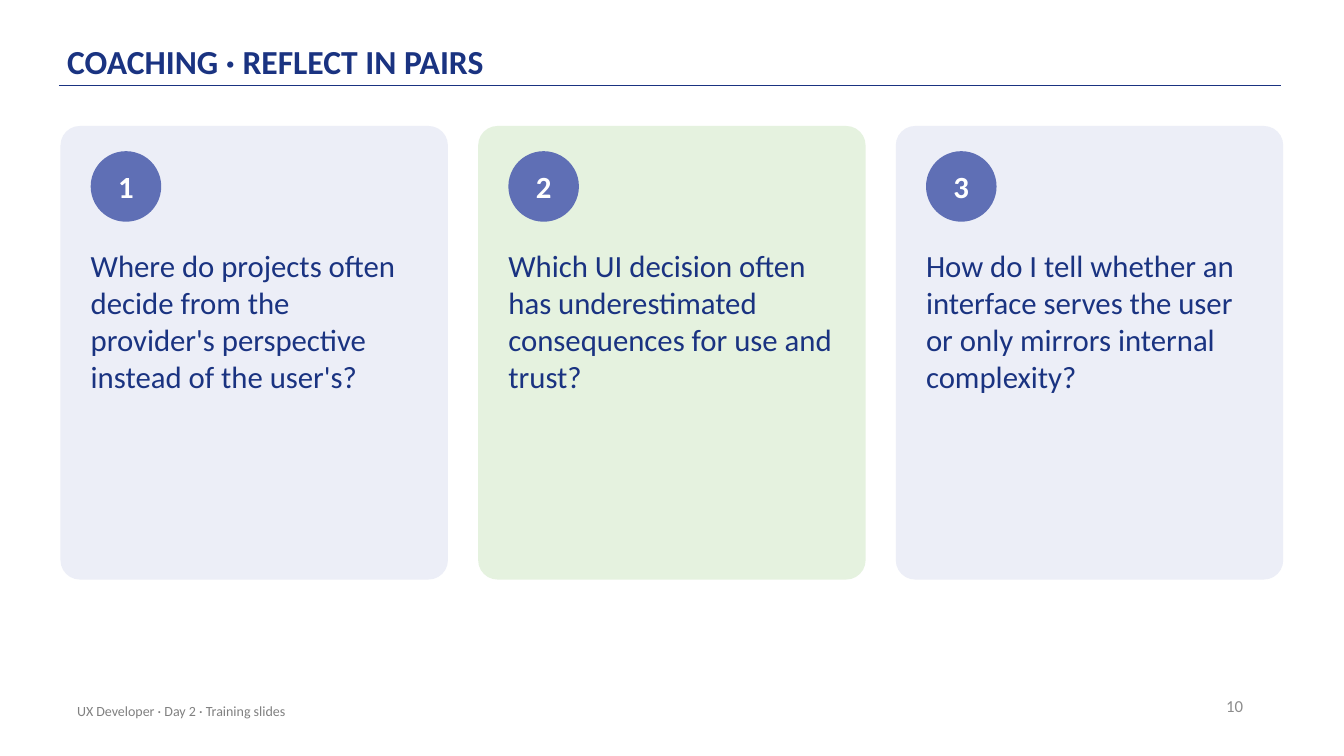
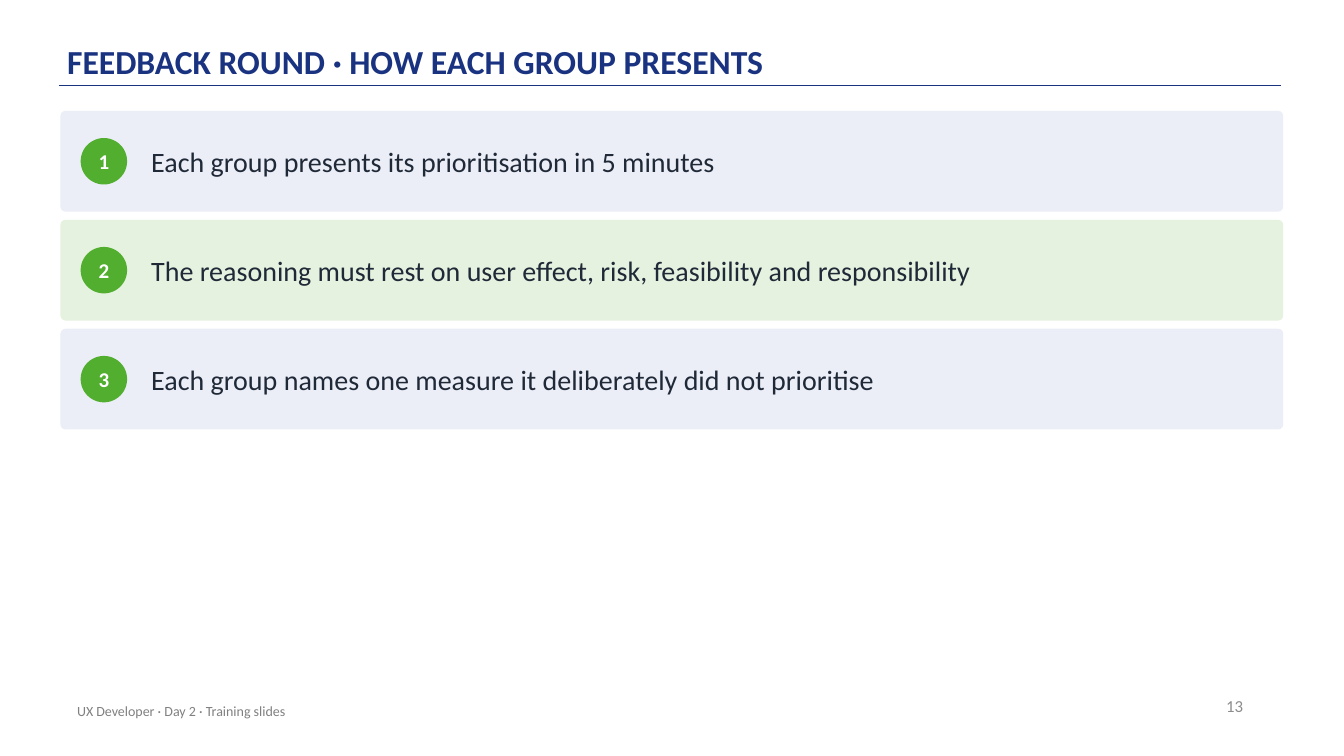
from pptx import Presentation
from pptx.dml.color import RGBColor
from pptx.enum import shapes, text
from pptx.oxml import ns
from pptx.util import Pt
from lxml import etree

NAVY = RGBColor(0x1A, 0x33, 0x81)
INDIGO = RGBColor(0x5F, 0x6F, 0xB5)
GREEN = RGBColor(0x51, 0xAE, 0x2F)
INK = RGBColor(0x1F, 0x29, 0x37)
WHITE = RGBColor(0xFF, 0xFF, 0xFF)
GREY = RGBColor(0x80, 0x80, 0x80)
SILVER = RGBColor(0x8C, 0x8C, 0x8C)
TINTS = [RGBColor(0xEC, 0xEE, 0xF7), RGBColor(0xE5, 0xF2, 0xDF)]

FOOTER = "UX Developer · Day 2 · Training slides"
REFLECT = {
    "title": "COACHING · REFLECT IN PAIRS",
    "page": 10,
    "items": [
        "Where do projects often decide from the provider's perspective instead of the user's?",
        "Which UI decision often has underestimated consequences for use and trust?",
        "How do I tell whether an interface serves the user or only mirrors internal complexity?",
    ],
}
FEEDBACK = {
    "title": "FEEDBACK ROUND · HOW EACH GROUP PRESENTS",
    "page": 13,
    "items": [
        "Each group presents its prioritisation in 5 minutes",
        "The reasoning must rest on user effect, risk, feasibility and responsibility",
        "Each group names one measure it deliberately did not prioritise",
    ],
}

LEFT, WIDTH = 43.2, 873.4
SHAPE, ALIGN, ANCHOR = shapes.MSO_SHAPE, text.PP_ALIGN, text.MSO_ANCHOR
TITLE = {"size": Pt(24), "bold": True, "color": NAVY}
PAGE = {"size": Pt(12), "color": SILVER}
NOTE = {"size": Pt(10), "color": GREY}
CARD = {"size": Pt(22), "color": NAVY}
ROW = {"size": Pt(20), "color": INK}


def write(shape, words, style, anchor=ANCHOR.TOP, align=ALIGN.LEFT, pad=(0, 0)):
    frame = shape.text_frame
    frame.word_wrap = True
    frame.vertical_anchor = anchor
    across, down = pad
    frame.margin_left = frame.margin_right = Pt(across)
    frame.margin_top = frame.margin_bottom = Pt(down)
    para = frame.paragraphs[0]
    para.alignment = align
    run = para.add_run()
    run.text = words
    run.font.name = "Calibri"
    for key, value in style.items():
        if key == "color":
            run.font.color.rgb = value
        else:
            setattr(run.font, key, value)
    return para


def label(slide, box, words, style, **place):
    shape = slide.shapes.add_textbox(*map(Pt, box))
    return write(shape, words, style, **place)


def solid(slide, kind, box, fill):
    shape = slide.shapes.add_shape(kind, *map(Pt, box))
    shape.shadow.inherit = False
    shape.fill.solid()
    shape.fill.fore_color.rgb = fill
    shape.line.fill.background()
    return shape


def panel(slide, box, index):
    shape = solid(slide, SHAPE.ROUNDED_RECTANGLE, box, TINTS[index % len(TINTS)])
    shape.adjustments[0] = 0.05


def badge(slide, left, top, side, number, fill, size):
    shape = solid(slide, SHAPE.OVAL, (left, top, side, side), fill)
    style = {"size": Pt(size), "bold": True, "color": WHITE}
    write(shape, str(number), style, anchor=ANCHOR.MIDDLE, align=ALIGN.CENTER)


def start(deck, content):
    slide = deck.slides.add_slide(deck.slide_layouts[6])
    rule = slide.shapes.add_connector(
        shapes.MSO_CONNECTOR.STRAIGHT, Pt(42), Pt(61.2), Pt(915), Pt(61.2))
    rule.line.color.rgb = NAVY
    rule.line.width = Pt(1)
    etree.SubElement(rule.element.spPr, ns.qn("a:effectLst"))
    head = label(slide, (48, 8.6, 792, 51.8), content["title"], TITLE,
                 anchor=ANCHOR.BOTTOM, pad=(0, 2.2))
    head.line_spacing = 0.9
    label(slide, (679, 489.6, 216, 28.8), str(content["page"]), PAGE,
          anchor=ANCHOR.MIDDLE, align=ALIGN.RIGHT, pad=(7.2, 3.6))
    label(slide, (48, 493.2, 482.4, 28.8), FOOTER, NOTE,
          anchor=ANCHOR.MIDDLE, pad=(7.2, 3.6))
    return slide


def cards(deck, content):
    slide = start(deck, content)
    items = content["items"]
    top, high, gap, inset = 90, 324, 21.6, 21.6
    wide = (WIDTH - gap * (len(items) - 1)) / len(items)
    for i, words in enumerate(items):
        left = LEFT + i * (wide + gap)
        panel(slide, (left, top, wide, high), i)
        badge(slide, left + inset, top + 18, 50.4, i + 1, INDIGO, 22)
        box = (left + inset, top + 86.4, wide - 2 * inset, 223.2)
        label(slide, box, words, CARD).space_after = Pt(6)


def rows(deck, content):
    slide = start(deck, content)
    first, high, gap, side = 79.2, 72, 5.8, 33.2
    for i, words in enumerate(content["items"]):
        top = first + i * (high + gap)
        panel(slide, (LEFT, top, WIDTH, high), i)
        badge(slide, LEFT + 14.4, top + (high - side) / 2, side, i + 1, GREEN, 15)
        box = (LEFT + 64.8, top, WIDTH - 79.2, high)
        label(slide, box, words, ROW, anchor=ANCHOR.MIDDLE)


def main():
    deck = Presentation()
    deck.slide_width, deck.slide_height = Pt(960), Pt(540)
    cards(deck, REFLECT)
    rows(deck, FEEDBACK)
    deck.save("out.pptx")


if __name__ == "__main__":
    main()
